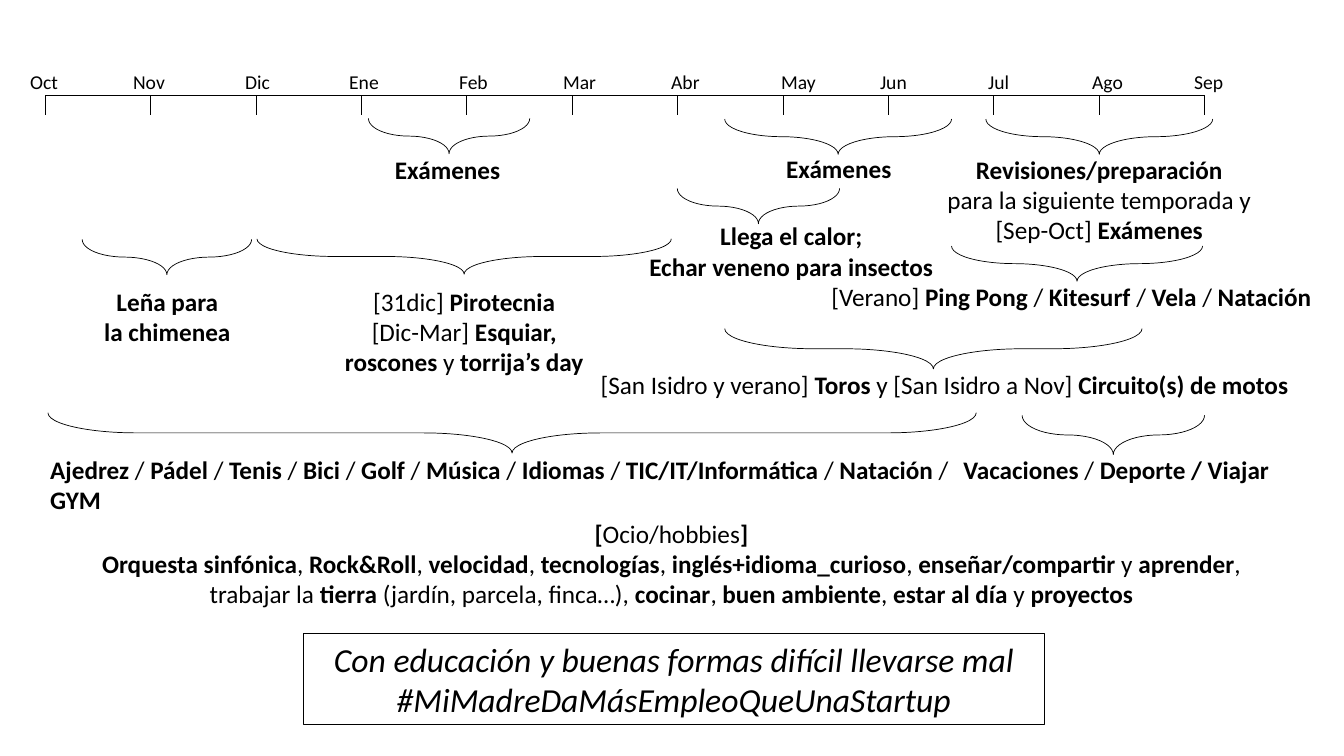
"""Builds a one-slide yearly timeline of activities, October to September."""
from lxml.etree import SubElement
from pptx import Presentation
from pptx.dml.color import RGBColor
from pptx.enum.shapes import MSO_CONNECTOR, MSO_SHAPE
from pptx.enum.text import MSO_ANCHOR, PP_ALIGN
from pptx.oxml.ns import qn
from pptx.util import Pt

COLORS = {"ink": "000000"}
FONT = "Calibri"
LEFT, CENTER = PP_ALIGN.LEFT, PP_ALIGN.CENTER

MONTHS = [("Oct", 0), ("Nov", 73.6), ("Dic", 153.6), ("Ene", 227.9),
          ("Feb", 306.4), ("Mar", 380.7), ("Abr", 457.9), ("May", 536.4),
          ("Jun", 607.1), ("Jul", 684.3), ("Ago", 758.6), ("Sep", 831.4)]
MONTHS_BOX = (14.4, 46.1, 874, 24.5)
AXIS_LEFT, AXIS_RIGHT, AXIS_TOP, TICK = 32.4, 860.4, 68, 14.4

# Each entry: brace (left, top, span, depth), text box, wrap, alignment, lines; ** toggles bold
ACTIVITIES = [
    ((58.7, 171, 121, 25.2), (67, 200.9, 105.1, 51.1), False, CENTER,
     ["**Leña para**", "**la chimenea**"]),
    ((183.6, 170.6, 295.9, 25.2), (238.3, 200.9, 186.5, 72.7), False, CENTER,
     ["[31dic] **Pirotecnia**", "[Dic-Mar] **Esquiar,**",
      "**roscones **y **torrija’s day**"]),
    ((679.7, 175.7, 179.3, 25.2), (586.8, 197.3, 365, 28.8), False, LEFT,
     ["[Verano] **Ping Pong **/ **Kitesurf **/** Vela** / **Natación**"]),
    ((517.7, 234.7, 298.1, 28.8), (421.9, 260.6, 510.5, 51.1), False, LEFT,
     ["[San Isidro y verano] **Toros** y [San Isidro a Nov] **Circuito(s) de motos**"]),
    ((34.2, 294.8, 663.1, 28.8), (28.8, 321.1, 658.1, 51.1), True, LEFT,
     ["**Ajedrez **/** Pádel** / **Tenis** / **Bici** / **Golf **/** Música **/"
      "** Idiomas **/** TIC/IT/Informática **/** Natación **/** GYM**"]),
    ((730.1, 296.6, 130.3, 28.1), (681.1, 321.1, 233.3, 28.8), False, LEFT,
     ["**Vacaciones** / **Deporte / Viajar**"]),
    ((263.2, 84.6, 115.2, 25.2), (275, 106.6, 90, 28.8), False, LEFT,
     ["**Exámenes**"]),
    ((517.7, 85, 162, 25.2), (554.4, 105.8, 90, 28.8), False, LEFT,
     ["**Exámenes**"]),
    ((704.2, 85, 162, 25.2), (666, 106.6, 238.3, 72.7), False, CENTER,
     ["**Revisiones/preparación**", "para la siguiente temporada y",
      "[Sep-Oct] **Exámenes**"]),
    ((483.8, 134.6, 115.9, 25.2), (455.8, 154.1, 218.9, 51.1), False, CENTER,
     ["**Llega el calor;**", "**Echar veneno para insectos**"]),
]
HOBBIES_BOX = (52.6, 366.5, 853.9, 72.7)
HOBBIES = [
    "**[**Ocio/hobbies**]**",
    "**Orquesta sinfónica**, **Rock&Roll**, **velocidad**, **tecnologías**, "
    "**inglés+idioma_curioso**, **enseñar/compartir** y **aprender**, trabajar la "
    "**tierra** (jardín, parcela, finca…), **cocinar**, **buen ambiente**, "
    "**estar al día** y **proyectos**",
]
MOTTO_BOX = (216.7, 452.2, 529.2, 65.5)
MOTTO = ["Con educación y buenas formas difícil llevarse mal",
         "#MiMadreDaMásEmpleoQueUnaStartup"]


def points(values):
    return [Pt(value) for value in values]


def ink_line(line, width):
    line.color.rgb = RGBColor.from_string(COLORS["ink"])
    line.width = Pt(width)


def write(frame, lines, size, align, wrap=True, italic=None):
    frame.word_wrap = wrap
    for index, content in enumerate(lines):
        paragraph = frame.paragraphs[0] if index == 0 else frame.add_paragraph()
        paragraph.alignment = align
        for part, piece in enumerate(content.split("**")):
            if piece:
                run = paragraph.add_run()
                run.text = piece
                run.font.name, run.font.size = FONT, Pt(size)
                run.font.bold, run.font.italic = part % 2 == 1, italic
                run.font.color.rgb = RGBColor.from_string(COLORS["ink"])


def add_text(slide, box, lines, size, align, wrap=True):
    frame = slide.shapes.add_textbox(*points(box)).text_frame
    write(frame, lines, size, align, wrap)
    return frame


def add_line(slide, x1, y1, x2, y2):
    rule = slide.shapes.add_connector(MSO_CONNECTOR.STRAIGHT, *points((x1, y1, x2, y2)))
    ink_line(rule.line, 0.5)
    SubElement(rule._element.spPr, qn("a:effectLst"))


def add_outline(slide, kind, box, width):
    outline = slide.shapes.add_shape(kind, *points(box))
    outline.shadow.inherit = False
    outline.fill.background()
    ink_line(outline.line, width)
    return outline


def add_brace(slide, left, top, span, depth):
    shift = (span - depth) / 2
    brace = add_outline(slide, MSO_SHAPE.LEFT_BRACE, (left + shift, top - shift, depth, span), 0.5)
    brace.rotation = 270
    brace.adjustments[0] = 2.209


def add_axis(slide):
    add_line(slide, AXIS_LEFT, AXIS_TOP, AXIS_RIGHT, AXIS_TOP)
    step = (AXIS_RIGHT - AXIS_LEFT) / (len(MONTHS) - 1)
    for index in range(len(MONTHS)):
        x = AXIS_LEFT + index * step
        add_line(slide, x, AXIS_TOP, x, AXIS_TOP + TICK)
    names = "\t".join(name for name, _ in MONTHS)
    labels = add_text(slide, MONTHS_BOX, [names], 14, LEFT)
    stops = SubElement(labels.paragraphs[0]._p.get_or_add_pPr(), qn("a:tabLst"))
    for _, offset in MONTHS[1:]:
        SubElement(stops, qn("a:tab"), pos=str(Pt(offset)), algn="l")


def main():
    deck = Presentation()
    deck.slide_width, deck.slide_height = Pt(960), Pt(540)
    slide = deck.slides.add_slide(deck.slide_layouts[6])
    add_axis(slide)
    for brace, box, wrap, align, lines in ACTIVITIES:
        add_brace(slide, *brace)
        add_text(slide, box, lines, 18, align, wrap)
    add_text(slide, HOBBIES_BOX, HOBBIES, 18, CENTER)
    motto = add_outline(slide, MSO_SHAPE.RECTANGLE, MOTTO_BOX, 0.75).text_frame
    motto.vertical_anchor = MSO_ANCHOR.MIDDLE
    write(motto, MOTTO, 24, CENTER, italic=True)
    deck.save("out.pptx")


if __name__ == "__main__":
    main()
